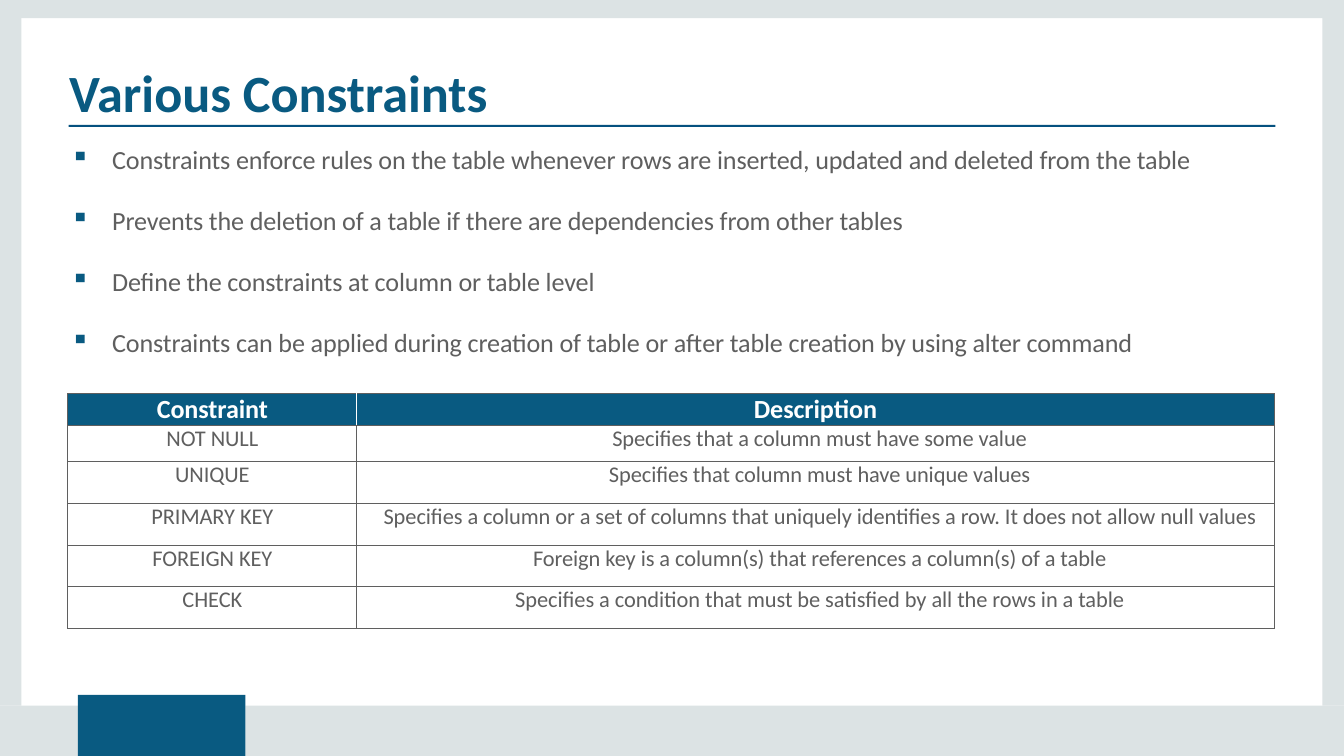
from lxml.etree import SubElement
from pptx import Presentation
from pptx.dml.color import RGBColor
from pptx.enum.shapes import MSO_SHAPE as Shape
from pptx.enum.text import PP_ALIGN as Align
from pptx.oxml.ns import qn
from pptx.util import Inches, Pt

W, H = 20, 11.25
SIDE, TOP, FOOT = 0.32, 0.27, 0.75
TAB_LEFT, TAB_RIGHT, TAB_HEIGHT = 1.16, 3.65, 0.91
LEFT, CONTENT_W = 1.02, 17.96
BLUE, RULE_BLUE, PALE, GREY, WHITE = "095A81", "05517F", "DCE3E4", "5F5F5F", "FFFFFF"

BULLETS = [
    "Constraints enforce rules on the table whenever rows are inserted, updated and deleted from the table",
    "Prevents the deletion of a table if there are dependencies from other tables",
    "Define the constraints at column or table level",
    "Constraints can be applied during creation of table or after table creation by using alter command",
]
ROWS = [
    ("Constraint", "Description"),
    ("NOT NULL", "Specifies that a column must have some value"),
    ("UNIQUE", "Specifies that column must have unique values"),
    ("PRIMARY KEY", "Specifies a column or a set of columns that uniquely identifies a row. "
                    "It does not allow null values"),
    ("FOREIGN KEY", "Foreign key is a column(s) that references a column(s) of a table"),
    ("CHECK", "Specifies a condition that must be satisfied by all the rows in a table"),
]
COL_WIDTHS = [4.3, 13.65]
ROW_HEIGHTS = [0.47, 0.54, 0.62, 0.62, 0.62, 0.63]


def rgb(value):
    return RGBColor.from_string(value)


def add_block(s, x, y, w, h, color):
    sp = s.shapes.add_shape(Shape.RECTANGLE, *map(Inches, (x, y, w, h)))
    sp.shadow.inherit = False
    sp.fill.solid()
    sp.fill.fore_color.rgb = rgb(color)
    sp.line.fill.background()


def clear_margins(frame):
    """Remove the inner margins of a text frame or a table cell."""
    frame.margin_left = frame.margin_right = frame.margin_top = frame.margin_bottom = 0


def add_text_box(s, x, y, w, h):
    tf = s.shapes.add_textbox(*map(Inches, (x, y, w, h))).text_frame
    tf.word_wrap = True
    clear_margins(tf)
    return tf


def write(p, text, size=24, color=GREY, bold=False, align=Align.LEFT, spacing=0):
    """Add a formatted run; spacing is in hundredths of a point."""
    p.alignment = align
    r = p.add_run()
    r.text = text
    r.font.name, r.font.size, r.font.bold = "Calibri", Pt(size), bold
    r.font.color.rgb = rgb(color)
    r.font._element.set("spc", str(spacing))


def set_bullet(p, color):
    pPr = p._p.get_or_add_pPr()
    pPr.set("marL", str(Inches(0.64)))
    pPr.set("indent", str(Inches(-0.62)))
    SubElement(SubElement(pPr, qn("a:buClr")), qn("a:srgbClr"), val=color)
    SubElement(pPr, qn("a:buChar"), char="▪")


def set_borders(cell, **colors):
    tcPr = cell._tc.get_or_add_tcPr()
    for side in "LRTB":
        ln = SubElement(tcPr, qn(f"a:ln{side}"), w=str(Pt(1)))
        fill = SubElement(ln, qn("a:solidFill"))
        SubElement(fill, qn("a:srgbClr"), val=colors.get(side, GREY))


def add_frame(s):
    side_h = H - TOP - FOOT
    add_block(s, W - SIDE, TOP, SIDE, side_h, PALE)
    add_block(s, 0, TOP, SIDE, side_h, PALE)
    add_block(s, TAB_RIGHT, H - FOOT, W - TAB_RIGHT, FOOT, PALE)
    add_block(s, 0, H - FOOT, TAB_LEFT, FOOT, PALE)
    add_block(s, 0, 0, W, TOP, PALE)
    add_block(s, TAB_LEFT, H - TAB_HEIGHT, TAB_RIGHT - TAB_LEFT, TAB_HEIGHT, BLUE)


def add_title(s, text):
    add_block(s, LEFT, 1.86, CONTENT_W, 0.03, RULE_BLUE)
    tf = add_text_box(s, LEFT + 0.01, 0.9, CONTENT_W, 0.81)
    write(tf.paragraphs[0], text, size=56, color=BLUE, bold=True, spacing=-5)


def add_bullets(s, items):
    tf = add_text_box(s, LEFT + 0.01, 2.14, 16.99, 3.12)
    for i, item in enumerate(items):
        p = tf.add_paragraph() if i else tf.paragraphs[0]
        p.space_before = Pt(31.5 if i else 0)
        write(p, item, size=28, spacing=-14)
        set_bullet(p, BLUE)


def add_constraint_table(s):
    size = len(ROWS), len(COL_WIDTHS)
    box = LEFT - 0.01, 5.86, sum(COL_WIDTHS), sum(ROW_HEIGHTS)
    table = s.shapes.add_table(*size, *map(Inches, box)).table
    for column, width in zip(table.columns, COL_WIDTHS):
        column.width = Inches(width)
    for i, (row, height, texts) in enumerate(zip(table.rows, ROW_HEIGHTS, ROWS)):
        row.height = Inches(height)
        header = i == 0
        for j, (cell, text) in enumerate(zip(row.cells, texts)):
            clear_margins(cell)
            if j and not header:
                cell.margin_left = Inches(0.12)
            set_borders(cell, **({"L" if j else "R": WHITE} if header else {}))
            cell.fill.solid()
            cell.fill.fore_color.rgb = rgb(BLUE if header else WHITE)
            write(cell.text_frame.paragraphs[0], text, size=28 if header else 24,
                  color=WHITE if header else GREY, bold=header,
                  align=Align.CENTER, spacing=-8)


def main():
    prs = Presentation()
    prs.slide_width, prs.slide_height = Inches(W), Inches(H)
    s = prs.slides.add_slide(prs.slide_layouts[6])
    add_frame(s)
    add_title(s, "Various Constraints")
    add_bullets(s, BULLETS)
    add_constraint_table(s)
    prs.save("out.pptx")


if __name__ == "__main__":
    main()
